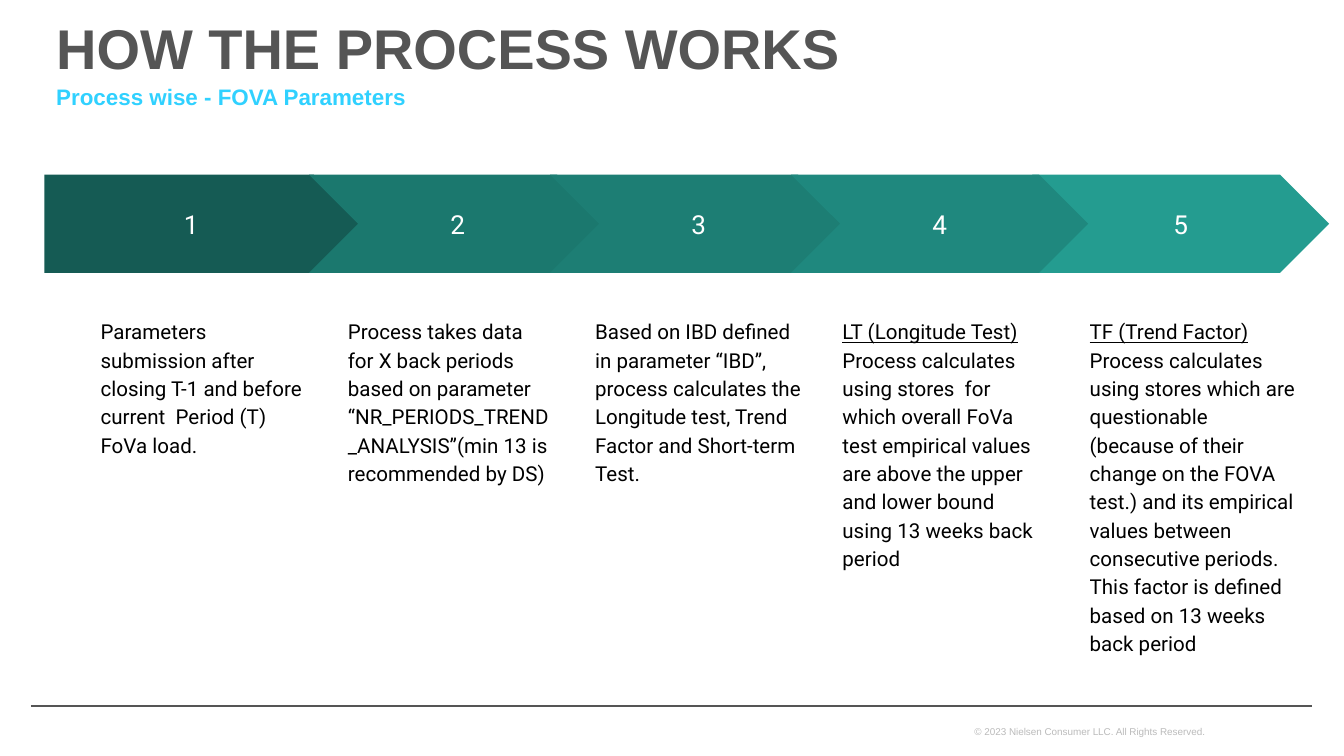
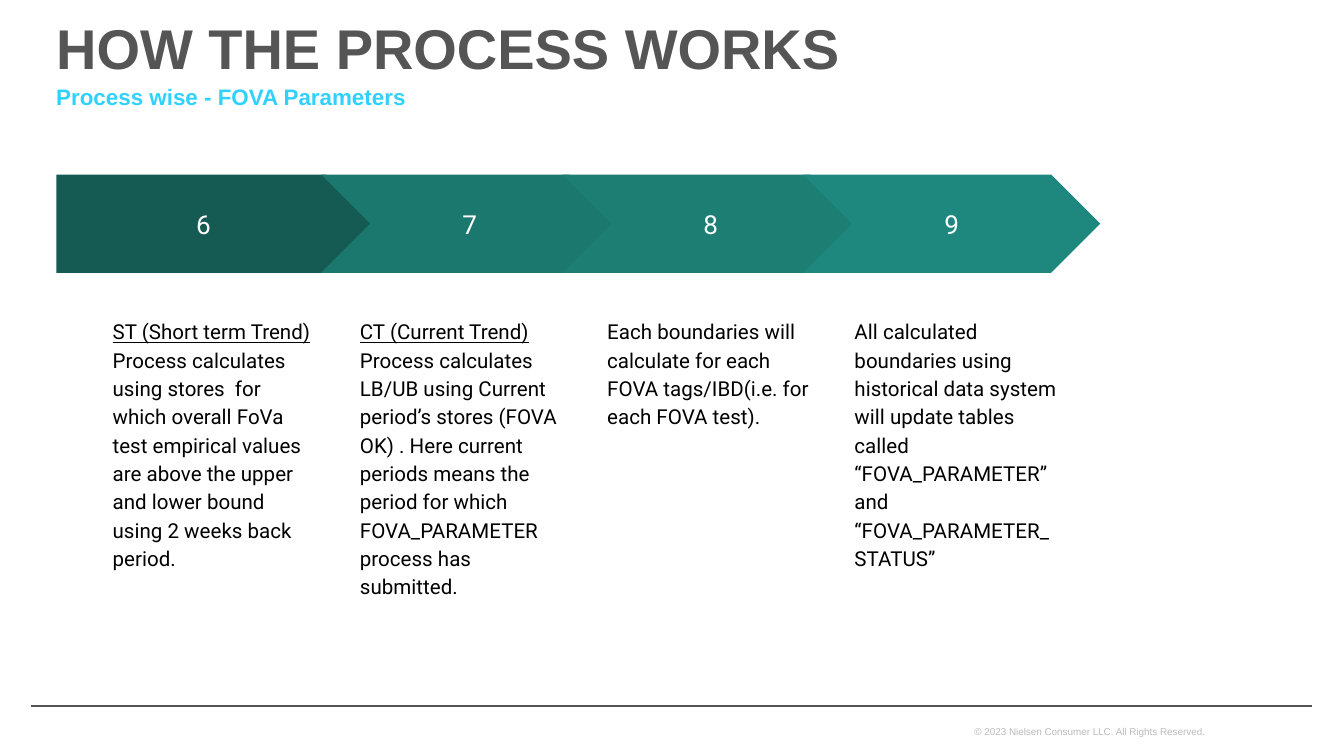
from pptx import Presentation
from pptx.dml.color import RGBColor
from pptx.enum.shapes import MSO_CONNECTOR, MSO_SHAPE
from pptx.enum.text import MSO_ANCHOR, MSO_AUTO_SIZE, PP_ALIGN
from pptx.oxml.ns import qn
from pptx.util import Inches, Pt
from lxml import etree

PENTAGON, CHEVRON = MSO_SHAPE.PENTAGON, MSO_SHAPE.CHEVRON
TOP, MIDDLE, BOTTOM = MSO_ANCHOR.TOP, MSO_ANCHOR.MIDDLE, MSO_ANCHOR.BOTTOM
LEFT, CENTER = PP_ALIGN.LEFT, PP_ALIGN.CENTER

# Content: each step is (underlined heading or None, description)
TITLE = "HOW THE PROCESS WORKS"
SUBTITLE = "Process wise - FOVA Parameters"
COPYRIGHT = "© 2023 Nielsen Consumer LLC. All Rights Reserved."

SLIDES = [
    {
        "first": 1,
        "left": 0.33,
        "draw_order": (0, 1, 2, 4, 3),  # step 4 points over step 5
        "steps": [
            (None, "Parameters submission after closing T-1 and before "
                   "current  Period (T) FoVa load."),
            (None, "Process takes data for X back periods based on parameter "
                   "“NR_PERIODS_TREND_ANALYSIS”(min 13 is recommended by DS)"),
            (None, "Based on IBD defined in parameter “IBD”, process calculates "
                   "the Longitude test, Trend Factor and Short-term Test."),
            ("LT (Longitude Test)",
             "Process calculates using stores  for which overall FoVa test "
             "empirical values are above the upper and lower bound using "
             "13 weeks back period"),
            ("TF (Trend Factor)",
             "Process calculates using stores which are questionable (because "
             "of their change on the FOVA test.) and its empirical values "
             "between consecutive periods. This factor is defined based on "
             "13 weeks back period"),
        ],
    },
    {
        "first": 6,
        "left": 0.42,
        "draw_order": (0, 1, 2, 3),
        "steps": [
            ("ST (Short term Trend)",
             "Process calculates using stores  for which overall FoVa test "
             "empirical values are above the upper and lower bound using "
             "2 weeks back period."),
            ("CT (Current Trend)",
             "Process calculates LB/UB using Current period’s stores (FOVA OK) . "
             "Here current periods means the period for which FOVA_PARAMETER "
             "process has submitted."),
            (None, "Each boundaries will calculate for each FOVA tags/IBD"
                   "(i.e. for each FOVA test)."),
            (None, "All calculated boundaries using historical data system will "
                   "update tables called “FOVA_PARAMETER” and "
                   "“FOVA_PARAMETER_STATUS”"),
        ],
    },
]

# Style
GREY = RGBColor(0x55, 0x55, 0x55)
LIGHT_GREY = RGBColor(0xBB, 0xBB, 0xBB)
SKY = RGBColor(0x30, 0xD1, 0xFF)
BLACK = RGBColor(0x00, 0x00, 0x00)
WHITE = RGBColor(0xFF, 0xFF, 0xFF)
STEP_FILLS = [
    RGBColor(0x15, 0x5B, 0x54),
    RGBColor(0x1B, 0x78, 0x6E),
    RGBColor(0x1D, 0x7E, 0x74),
    RGBColor(0x1F, 0x88, 0x7E),
    RGBColor(0x24, 0x9C, 0x90),
]
HEAD_FONT, BODY_FONT = "Arial", "Roboto"

# Step geometry, in inches
ARROW_TOP, ARROW_HEIGHT = 1.3, 0.73
PENTAGON_WIDTH, CHEVRON_WIDTH = 2.37, 2.21
CHEVRON_OFFSET, CHEVRON_PITCH = 1.97, 5.38 / 3
NOTE_OFFSET, NOTE_PITCH = 0.32, 1.84
NOTE_TOP, NOTE_WIDTH, NOTE_HEIGHT = 2.25, 1.73, 2.57


def write(sp, paragraphs, size, color, font=HEAD_FONT, bold=False, align=LEFT,
          anchor=TOP, inset=(0.1, 0.1), spacing=None, underlined=()):
    """Fill a shape with paragraphs; inset is (horizontal, vertical)."""
    tf = sp.text_frame
    tf.word_wrap = True
    tf.vertical_anchor = anchor
    tf.margin_left = tf.margin_right = Inches(inset[0])
    tf.margin_top = tf.margin_bottom = Inches(inset[1])
    for i, text in enumerate(paragraphs):
        p = tf.add_paragraph() if i else tf.paragraphs[0]
        p.alignment = align
        if spacing:
            p.line_spacing = spacing
        r = p.add_run()
        r.text = text
        r.font.name = font
        r.font.size = Pt(size)
        r.font.bold = bold
        r.font.color.rgb = color
        if text in underlined:
            r.font.underline = True


def add_text(shapes, box, paragraphs, **style):
    sp = shapes.add_textbox(*map(Inches, box))
    write(sp, paragraphs, **style)
    return sp


def add_frame(s):
    """Footer, rule, subtitle and title shared by every slide."""
    footer = add_text(s.shapes, (7.25, 5.35, 2.13, 0.19), [COPYRIGHT],
                      size=5.3, color=LIGHT_GREY, inset=(0, 0.05))
    footer.text_frame.auto_size = MSO_AUTO_SIZE.SHAPE_TO_FIT_TEXT
    rule = s.shapes.add_connector(MSO_CONNECTOR.STRAIGHT, Inches(0.23),
                                  Inches(5.25), Inches(9.76), Inches(5.25))
    rule.line.color.rgb = GREY
    rule.line.width = Pt(1)
    etree.SubElement(rule._element.spPr, qn("a:effectLst"))
    add_text(s.shapes, (0.32, 0.62, 8.92, 0.29), [SUBTITLE],
             size=12, color=SKY, bold=True, inset=(0.1, 0))
    add_text(s.shapes, (0.32, 0.25, 8.93, 0.35), [TITLE],
             size=30, color=GREY, bold=True, anchor=BOTTOM, inset=(0.1, 0))


def add_step(s, index, number, left, heading, description):
    """One numbered arrow grouped with the note below it."""
    shapes = s.shapes.add_group_shape().shapes
    if index == 0:
        kind, x, width = PENTAGON, left, PENTAGON_WIDTH
    else:
        kind, width = CHEVRON, CHEVRON_WIDTH
        x = left + CHEVRON_OFFSET + (index - 1) * CHEVRON_PITCH
    arrow = shapes.add_shape(kind, Inches(x), Inches(ARROW_TOP),
                             Inches(width), Inches(ARROW_HEIGHT))
    arrow.shadow.inherit = False
    arrow.fill.solid()
    arrow.fill.fore_color.rgb = STEP_FILLS[index]
    arrow.line.fill.background()
    write(arrow, [str(number)], size=14, color=WHITE, font=BODY_FONT,
          align=CENTER, anchor=MIDDLE)

    note_left = left + NOTE_OFFSET + index * NOTE_PITCH
    add_text(shapes, (note_left, NOTE_TOP, NOTE_WIDTH, NOTE_HEIGHT),
             [heading, description] if heading else [description],
             size=11, color=BLACK, font=BODY_FONT, spacing=1.15,
             underlined=(heading,))


def main():
    prs = Presentation()
    prs.slide_width = Inches(10)
    prs.slide_height = prs.slide_width * 9 // 16
    blank = prs.slide_layouts[6]
    for content in SLIDES:
        s = prs.slides.add_slide(blank)
        add_frame(s)
        for index in content["draw_order"]:
            add_step(s, index, content["first"] + index, content["left"],
                     *content["steps"][index])
    prs.save("out.pptx")


if __name__ == "__main__":
    main()
